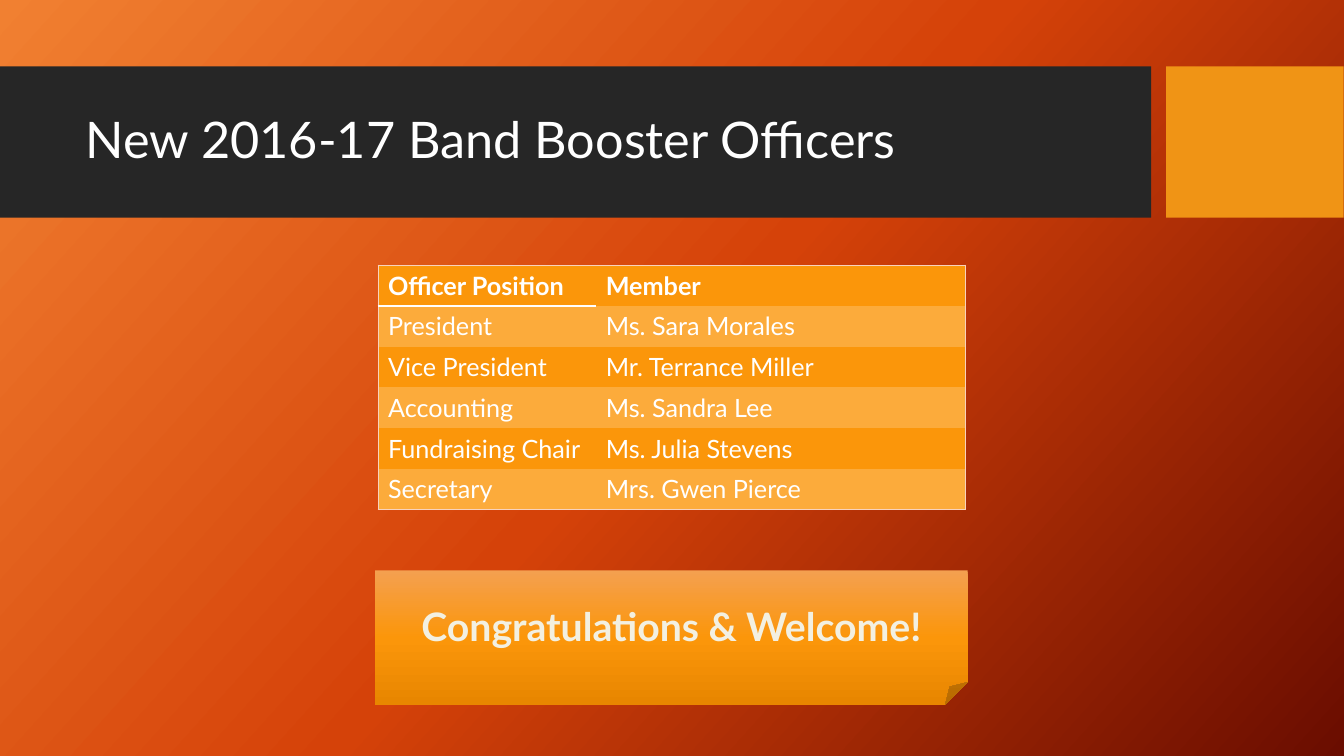
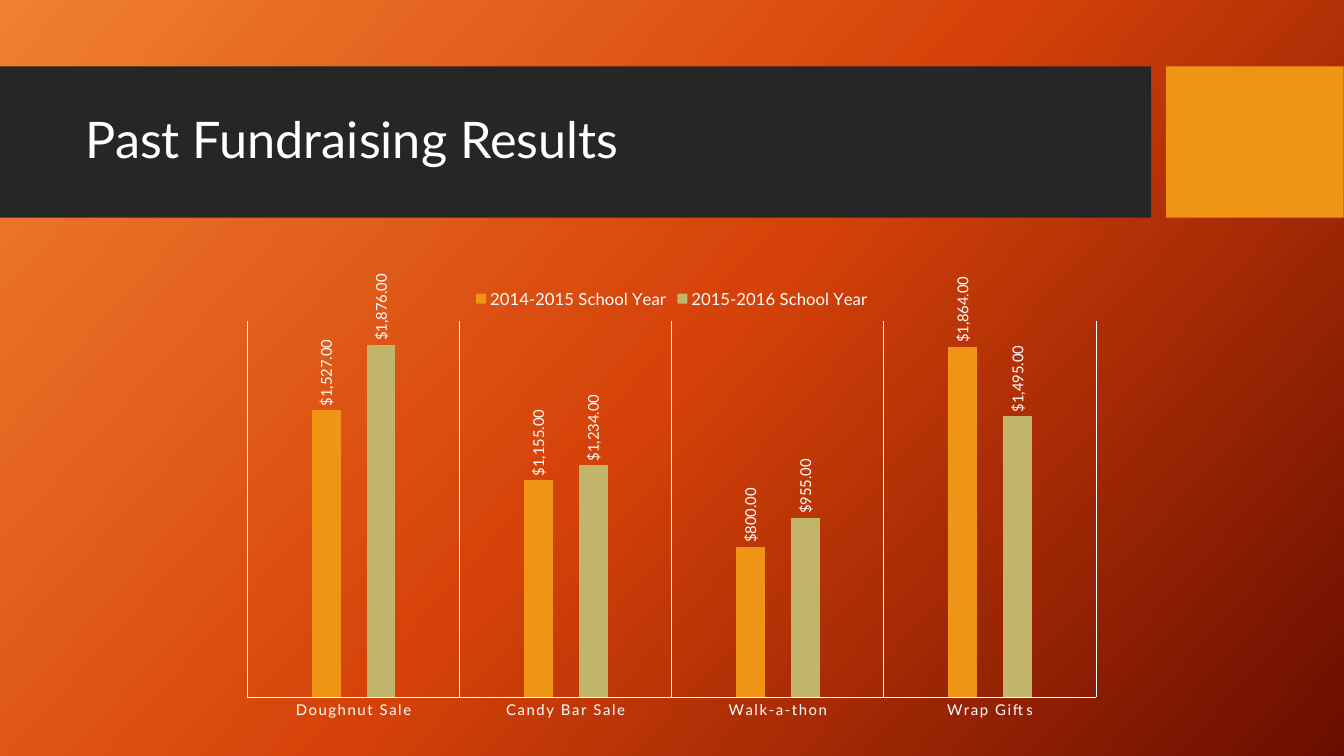
from dataclasses import dataclass

import pptx
import pptx.chart.data
import pptx.dml.color
import pptx.enum.chart
import pptx.enum.shapes
import pptx.enum.text
import pptx.oxml
import pptx.oxml.ns
import pptx.util
from pptx.util import Inches

qn = pptx.oxml.ns.qn
MIDDLE = pptx.enum.text.MSO_ANCHOR.MIDDLE
ALIGN = pptx.enum.text.PP_ALIGN
SHAPES = pptx.enum.shapes.MSO_SHAPE


@dataclass(frozen=True)
class Theme:
    font: str = "Lato"
    white: str = "FFFFFF"
    cream: str = "F3F0E1"
    charcoal: str = "262626"
    amber: str = "F09415"
    olive: str = "C1B56B"
    row_dark: str = "FB960A"
    row_light: str = "FCAB3B"
    table_edge: str = "F8D2BD"
    backdrop: tuple = ("F18031", "D54209", "6A0D00")
    note: tuple = ("F4A050", "FB960A", "E88600")
    title_size: float = 36
    note_size: float = 28
    table_size: float = 18
    legend_size: float = 11.97
    label_size: float = 10.64


THEME = Theme()

# Content
OFFICERS_TITLE = "New 2016-17 Band Booster Officers"
OFFICERS = [
    ("Officer Position", "Member"),
    ("President", "Ms. Sara Morales"),
    ("Vice President", "Mr. Terrance Miller"),
    ("Accounting", "Ms. Sandra Lee"),
    ("Fundraising Chair", "Ms. Julia Stevens"),
    ("Secretary", "Mrs. Gwen Pierce"),
]
WELCOME = "Congratulations & Welcome!"

RESULTS_TITLE = "Past Fundraising Results"
FUNDRAISERS = ["Doughnut Sale", "Candy Bar Sale", "Walk-a-thon", "Wrap Gifts"]
RESULTS = [
    ("2014-2015 School Year", (1527, 1155, 800, 1864), THEME.amber),
    ("2015-2016 School Year", (1876, 1234, 955, 1495), THEME.olive),
]
DOLLARS = '"$"#,##0.00'

# Geometry in inches
SLIDE_SIZE = (40 / 3, 7.5)
BANDS = [((0, 0.66, 11.42, 1.5), THEME.charcoal),
         ((11.57, 0.66, 1.76, 1.5), THEME.amber)]
TITLE_BOX = (0.75, 0.82, 10.51, 1.18)
TABLE_AT = (3.75, 2.63)
TABLE_HEIGHT = 2.43
COLUMN_WIDTHS = (2.16, 3.67)
NOTE_BOX = (3.72, 5.66, 5.88, 1.33)
CHART_BOX = (2.28, 2.72, 8.77, 4.5)


def box(lengths):
    return [Inches(length) for length in lengths]


def rgb(color):
    return pptx.dml.color.RGBColor.from_string(color)


def paint(fill, color):
    fill.solid()
    fill.fore_color.rgb = rgb(color)


def style_font(font, size, color=THEME.white, bold=False):
    font.name, font.size, font.bold = THEME.font, pptx.util.Pt(size), bold
    font.color.rgb = rgb(color)


def style_line(line, color=THEME.white):
    line.width = pptx.util.Pt(0.75)
    line.color.rgb = rgb(color)


def write(paragraph, text, size, color=THEME.white, bold=False):
    run = paragraph.add_run()
    run.text = text
    style_font(run.font, size, color, bold)


def paint_gradient(fill, owner, colors, clockwise):
    """Spread the colours evenly along the clockwise angle."""
    fill.gradient()
    fill.gradient_angle = 360 - clockwise
    stops = owner.find(".//" + qn("a:gsLst"))
    for stop in list(stops):
        stops.remove(stop)
    for index, color in enumerate(colors):
        position = 100000 * index // (len(colors) - 1)
        stop = stops.makeelement(qn("a:gs"), {"pos": str(position)})
        stop.append(stop.makeelement(qn("a:srgbClr"), {"val": color}))
        stops.append(stop)


def add_plain_shape(slide, preset, at):
    shape = slide.shapes.add_shape(preset, *box(at))
    shape.shadow.inherit = False
    shape.line.fill.background()
    return shape


def add_shared_look(prs, layout, slide):
    """Set the backdrop and move the title bands into the layout."""
    master = prs.slide_master
    paint_gradient(master.background.fill, master.element, THEME.backdrop, 42)
    for index, (at, color) in enumerate(BANDS):
        band = add_plain_shape(slide, SHAPES.RECTANGLE, at)
        paint(band.fill, color)
        layout.shapes.element.insert(2 + index, band.element)


def add_titled_slide(prs, layout, text):
    slide = prs.slides.add_slide(layout)
    title = slide.shapes.title
    title.left, title.top, title.width, title.height = box(TITLE_BOX)
    frame = title.text_frame
    frame.vertical_anchor = MIDDLE
    frame.word_wrap = True
    heading = frame.paragraphs[0]
    heading.alignment = ALIGN.LEFT
    heading.line_spacing = 0.9
    write(heading, text, THEME.title_size)
    return slide


def add_border(cell, side, color, points):
    """Insert borders in the order left, right, top, bottom."""
    properties = cell._tc.get_or_add_tcPr()
    border = pptx.oxml.parse_xml(
        f'<a:{side} xmlns:a="http://schemas.openxmlformats.org/drawingml/2006/main"'
        f' w="{pptx.util.Pt(points)}"><a:solidFill><a:srgbClr val="{color}"/>'
        f'</a:solidFill></a:{side}>')
    earlier = [child for child in properties if child.tag.startswith(qn("a:ln"))]
    properties.insert(len(earlier), border)


def add_officer_table(slide):
    rows, columns = len(OFFICERS), len(COLUMN_WIDTHS)
    size = (sum(COLUMN_WIDTHS), TABLE_HEIGHT)
    table = slide.shapes.add_table(rows, columns, *box(TABLE_AT + size)).table
    table.horz_banding = False
    # Plain style without grid lines
    style = table._tbl.tblPr.find(qn("a:tableStyleId"))
    style.text = "{2D5ABB26-0587-4C30-8999-92F81FD0307C}"
    for column, width in zip(table.columns, COLUMN_WIDTHS):
        column.width = Inches(width)
    for r, officer in enumerate(OFFICERS):
        table.rows[r].height = Inches(TABLE_HEIGHT / rows)
        for c, text in enumerate(officer):
            cell = table.cell(r, c)
            write(cell.text_frame.paragraphs[0], text, THEME.table_size, bold=r == 0)
            paint(cell.fill, THEME.row_light if r % 2 else THEME.row_dark)
            edges = [("lnL", c == 0), ("lnR", c == columns - 1),
                     ("lnT", r == 0), ("lnB", r == rows - 1)]
            for side, outer in edges:
                if outer:
                    add_border(cell, side, THEME.table_edge, 0.75)
    add_border(table.cell(0, 0), "lnB", THEME.white, 1.5)


def add_welcome_note(slide):
    note = add_plain_shape(slide, SHAPES.FOLDED_CORNER, NOTE_BOX)
    paint_gradient(note.fill, note.element, THEME.note, 90)
    note.text_frame.word_wrap = True
    note.text_frame.vertical_anchor = MIDDLE
    welcome = note.text_frame.paragraphs[0]
    welcome.alignment = ALIGN.CENTER
    write(welcome, WELCOME, THEME.note_size, THEME.cream, bold=True)


def add_results_chart(slide):
    data = pptx.chart.data.CategoryChartData(number_format=DOLLARS)
    data.categories = FUNDRAISERS
    for year, amounts, _ in RESULTS:
        data.add_series(year, amounts)
    kinds = pptx.enum.chart
    chart = slide.shapes.add_chart(
        kinds.XL_CHART_TYPE.COLUMN_CLUSTERED, *box(CHART_BOX), data).chart
    style_font(chart.font, THEME.label_size)
    chart.has_title = False
    chart.has_legend = True
    chart.legend.position = kinds.XL_LEGEND_POSITION.TOP
    chart.legend.include_in_layout = False
    style_font(chart.legend.font, THEME.legend_size)

    # Axes
    sales = chart.category_axis
    sales.major_tick_mark = kinds.XL_TICK_MARK.NONE
    sales.has_major_gridlines = True
    style_line(sales.major_gridlines.format.line)
    style_line(sales.format.line)
    style_font(sales.tick_labels.font, THEME.label_size)
    sales_text = chart._chartSpace.find(".//" + qn("c:catAx") + "//" + qn("a:defRPr"))
    sales_text.set("spc", "120")
    dollars = chart.value_axis
    dollars.visible = False
    dollars.has_major_gridlines = False
    dollars.minimum_scale, dollars.maximum_scale = 0, 2000

    # Columns with upright labels
    plot = chart.plots[0]
    plot.vary_by_categories = False
    plot.gap_width, plot.overlap = 444, -90
    for series, (_, _, color) in zip(plot.series, RESULTS):
        paint(series.format.fill, color)
        labels = series.data_labels
        labels.show_value = True
        labels.position = kinds.XL_LABEL_POSITION.OUTSIDE_END
        labels.number_format = DOLLARS
        labels.number_format_is_linked = False
        style_font(labels.font, THEME.label_size)
    for labels in chart._chartSpace.iter(qn("c:dLbls")):
        turned = labels.find(".//" + qn("a:bodyPr"))
        if turned is not None:
            turned.set("rot", "-5400000")
            turned.set("vert", "horz")


def main():
    prs = pptx.Presentation()
    prs.slide_width, prs.slide_height = box(SLIDE_SIZE)
    layout = prs.slide_layouts.get_by_name("Title Only")

    officers = add_titled_slide(prs, layout, OFFICERS_TITLE)
    add_shared_look(prs, layout, officers)
    add_officer_table(officers)
    add_welcome_note(officers)

    results = add_titled_slide(prs, layout, RESULTS_TITLE)
    add_results_chart(results)
    prs.save("out.pptx")


if __name__ == "__main__":
    main()
